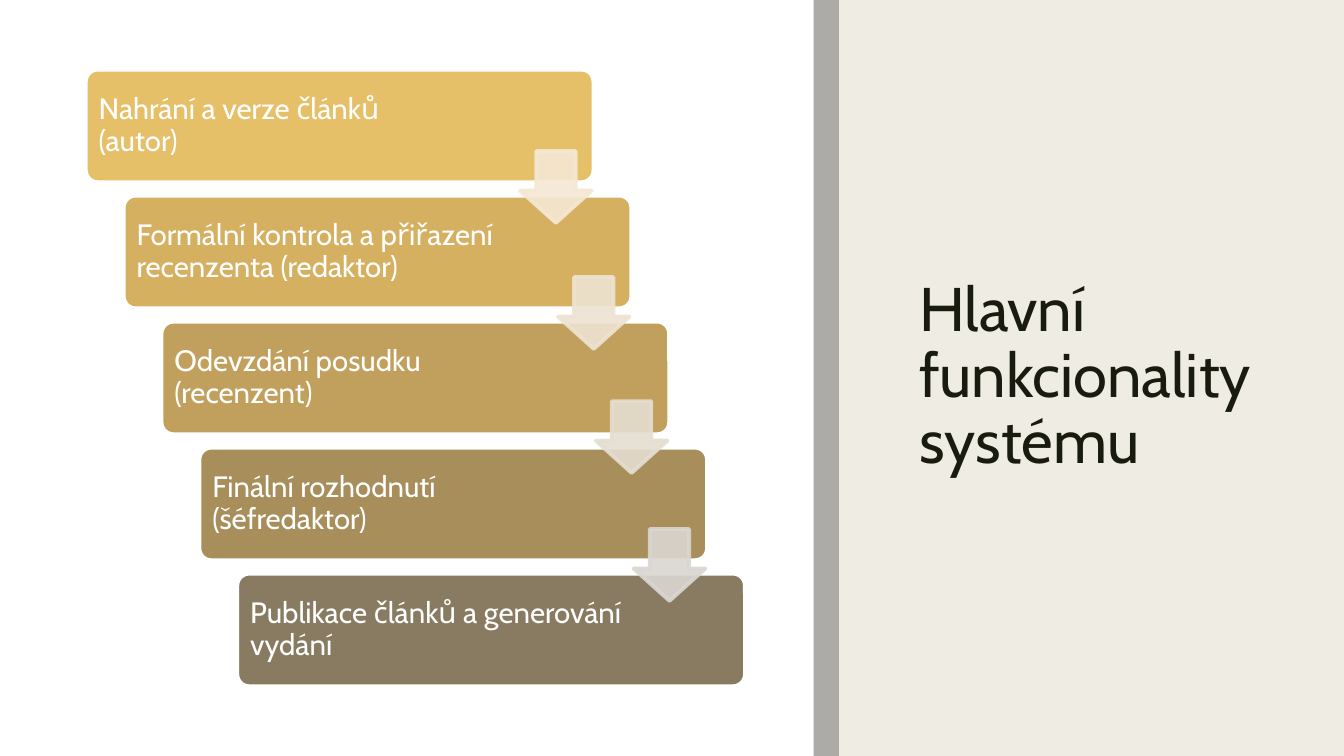
from lxml import etree
from pptx import Presentation
from pptx.dml.color import RGBColor
from pptx.enum.shapes import MSO_SHAPE
from pptx.enum.text import MSO_ANCHOR, MSO_AUTO_SIZE, PP_ALIGN
from pptx.oxml.ns import qn
from pptx.util import Pt

RECT, ROUNDED, ARROW = MSO_SHAPE.RECTANGLE, MSO_SHAPE.ROUNDED_RECTANGLE, MSO_SHAPE.DOWN_ARROW
MIDDLE, LEFT, NO_FIT = MSO_ANCHOR.MIDDLE, PP_ALIGN.LEFT, MSO_AUTO_SIZE.NONE

FONT = "Cabin"
WHITE = RGBColor(0xFF, 0xFF, 0xFF)
INK = RGBColor(0x19, 0x1B, 0x0E)
CREAM = RGBColor(0xEF, 0xED, 0xE3)
GREY = RGBColor(0x80, 0x80, 0x80)

# Content: text, fill and right inset of each step
TITLE = "Hlavní funkcionality systému"
STEPS = [
    ("Nahrání a verze článků (autor)", RGBColor(0xE6, 0xC0, 0x69), 96.5),
    ("Formální kontrola a přiřazení recenzenta (redaktor)", RGBColor(0xD5, 0xB0, 0x61), 84.5),
    ("Odevzdání posudku (recenzent)", RGBColor(0xC0, 0xA0, 0x5C), 84.5),
    ("Finální rozhodnutí (šéfredaktor)", RGBColor(0xA8, 0x8E, 0x5B), 84.5),
    ("Publikace článků a generování vydání", RGBColor(0x89, 0x7B, 0x61), 84.5),
]
# Arrows between steps: top and colour
ARROWS = [
    (108, RGBColor(0xF5, 0xE8, 0xD4)),
    (198, RGBColor(0xEE, 0xE3, 0xD2)),
    (286.6, RGBColor(0xE5, 0xDD, 0xD1)),
    (378, RGBColor(0xDA, 0xD7, 0xD2)),
]

# Layout, in points
SLIDE_W, SLIDE_H = 960, 540
STRIPE_LEFT, STRIPE_W = 581.2, 18
STEP_LEFT, STEP_TOP, STEP_W, STEP_H = 61.9, 50.4, 361.4, 79.2
SHIFT_X, SHIFT_Y = 27.05, 90
ARROW_LEFT, ARROW_SIZE = 371.5, 51.2


def set_alpha(shape, percent):
    for color in shape.fill._xPr.iter(qn("a:srgbClr")):
        etree.SubElement(color, qn("a:alpha")).set("val", str(percent * 1000))


def add_block(page, kind, left, top, width, height, color, line=None, line_width=0):
    shape = page.shapes.add_shape(kind, Pt(left), Pt(top), Pt(width), Pt(height))
    shape.shadow.inherit = False
    shape.fill.solid()
    shape.fill.fore_color.rgb = color
    if line is None:
        shape.line.fill.background()
    else:
        shape.line.color.rgb = line
        shape.line.width = Pt(line_width)
    return shape


def write_text(shape, text, size, color, spacing, insets):
    frame = shape.text_frame
    frame.word_wrap = True
    frame.auto_size = NO_FIT
    frame.vertical_anchor = MIDDLE
    frame.margin_left, frame.margin_top, frame.margin_right, frame.margin_bottom = map(Pt, insets)
    para = frame.paragraphs[0]
    para.alignment = LEFT
    para.line_spacing = spacing
    span = para.add_run()
    span.text = text
    span.font.name = FONT
    span.font.size = Pt(size)
    span.font.color.rgb = color


def main():
    deck = Presentation()
    deck.slide_width, deck.slide_height = Pt(SLIDE_W), Pt(SLIDE_H)
    page = deck.slides.add_slide(deck.slide_layouts[5])

    # Background, white panel and stripe
    page.background.fill.solid()
    page.background.fill.fore_color.rgb = CREAM
    add_block(page, RECT, 0, 0, STRIPE_LEFT, SLIDE_H, WHITE)
    stripe = add_block(page, RECT, STRIPE_LEFT, 0, STRIPE_W, SLIDE_H, GREY)
    set_alpha(stripe, 60)

    # Title
    title = page.shapes.title
    title.left, title.top, title.width, title.height = Pt(649.4), Pt(50.4), Pt(260), Pt(439.2)
    write_text(title, TITLE, size=44, color=INK, spacing=0.89, insets=(7.2, 3.6, 7.2, 3.6))

    # Staircase of steps
    for index, (text, color, right_inset) in enumerate(STEPS):
        step = add_block(page, ROUNDED, STEP_LEFT + index * SHIFT_X, STEP_TOP + index * SHIFT_Y,
                         STEP_W, STEP_H, color, line=WHITE, line_width=1.5)
        step.adjustments[0] = 0.1
        write_text(step, text, size=21, color=WHITE, spacing=0.9,
                   insets=(6.3, 6.3, right_inset, 6.3))

    # Arrows from step to step
    for index, (top, color) in enumerate(ARROWS):
        arrow = add_block(page, ARROW, ARROW_LEFT + index * SHIFT_X, top,
                          ARROW_SIZE, ARROW_SIZE, color, line=color, line_width=2.75)
        # Shaft width is the first adjustment of the preset, head length the second
        arrow.adjustments[0], arrow.adjustments[1] = 0.55, 0.45
        set_alpha(arrow, 90)

    deck.save("out.pptx")


if __name__ == "__main__":
    main()
